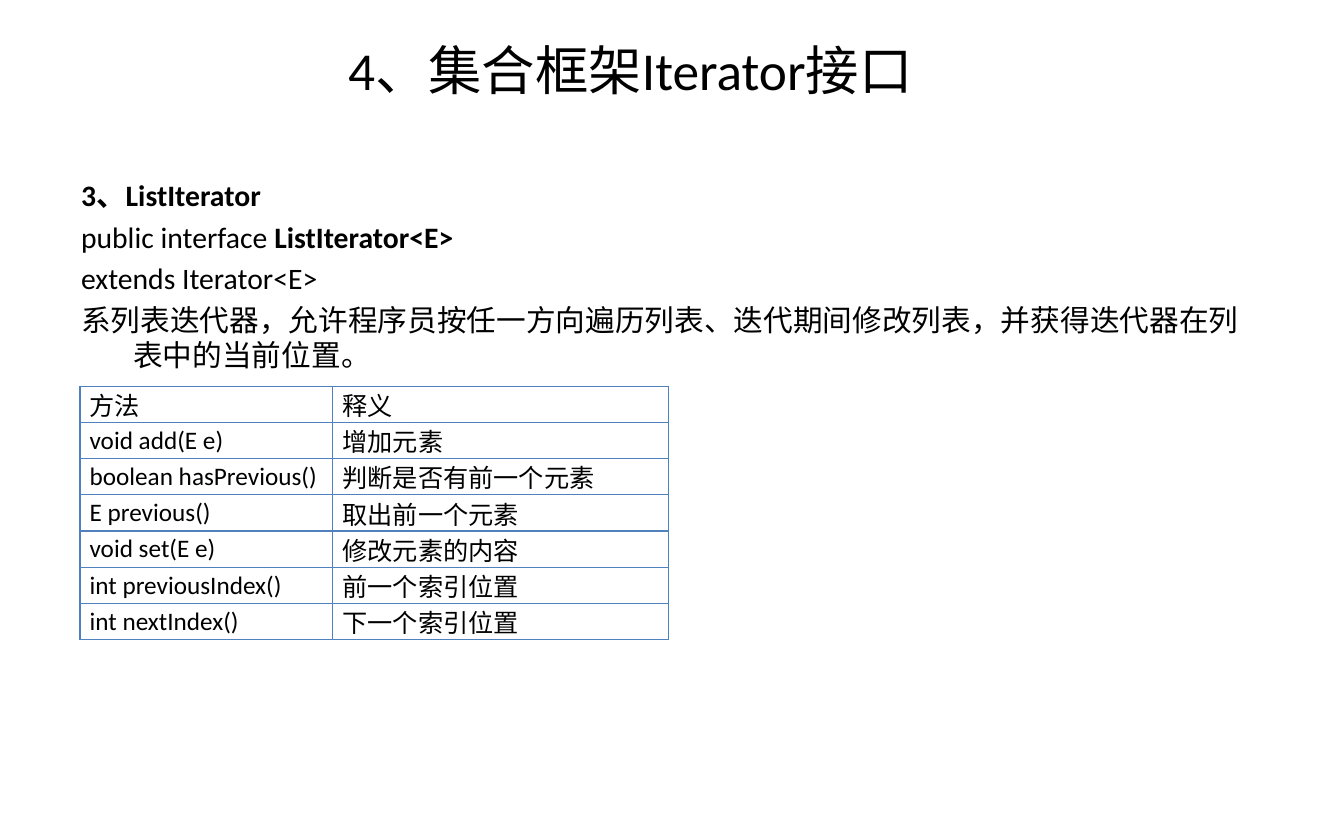
from dataclasses import dataclass

from lxml import etree
from pptx import Presentation
from pptx.dml.color import RGBColor
from pptx.enum import text
from pptx.oxml import ns
from pptx.util import Inches, Pt

TITLE = "4、集合框架Iterator接口"

# Each paragraph is a list of (text, bold) runs.
BODY = [
    [("3、ListIterator", True)],
    [("public interface ", False), ("ListIterator<E>", True)],
    [("extends Iterator<E>", False)],
    [("系列表迭代器，允许程序员按任一方向遍历列表、迭代期间修改列表，"
      "并获得迭代器在列表中的当前位置。", False)],
]

METHODS = [
    ("方法", "释义"),
    ("void add(E e)", "增加元素"),
    ("boolean hasPrevious()", "判断是否有前一个元素"),
    ("E previous()", "取出前一个元素"),
    ("void set(E e)", "修改元素的内容"),
    ("int previousIndex()", "前一个索引位置"),
    ("int nextIndex()", "下一个索引位置"),
]
COLUMN_WIDTHS = (2.37, 3.15)
ROW_HEIGHT = 0.34


@dataclass(frozen=True)
class Theme:
    font: str = "Calibri"
    header_font: str = "Times New Roman"
    ink: RGBColor = RGBColor(0, 0, 0)
    border: str = "4F81BD"
    border_width: int = Pt(1)
    title_size: int = Pt(36)
    body_size: int = Pt(20)
    table_size: int = Pt(17)


THEME = Theme()


def style(paragraph, size, name=THEME.font):
    font = paragraph.font
    font.size, font.name = size, name
    font.color.rgb = THEME.ink


def add_text_frame(slide, left, top, width, height):
    box = slide.shapes.add_textbox(*map(Inches, (left, top, width, height)))
    frame = box.text_frame
    frame.word_wrap = True
    frame.margin_left = frame.margin_right = Inches(0.13)
    frame.margin_top = frame.margin_bottom = Inches(0.07)
    return frame


def add_title(slide):
    frame = add_text_frame(slide, 1.58, 0.32, 8.66, 0.66)
    frame.vertical_anchor = text.MSO_ANCHOR.MIDDLE
    paragraph = frame.paragraphs[0]
    paragraph.text = TITLE
    paragraph.alignment = text.PP_ALIGN.CENTER
    style(paragraph, THEME.title_size)


def add_body(slide):
    frame = add_text_frame(slide, 0.63, 1.59, 11.34, 5.31)
    for index, runs in enumerate(BODY):
        paragraph = frame.add_paragraph() if index else frame.paragraphs[0]
        if index:
            paragraph.space_before = Pt(4)
        properties = paragraph._p.get_or_add_pPr()
        properties.set("marL", str(Inches(0.49)))
        properties.set("indent", str(-Inches(0.49)))
        style(paragraph, THEME.body_size)
        for content, bold in runs:
            run = paragraph.add_run()
            run.text = content
            run.font.bold = bold


def add_borders(cell):
    properties = cell._tc.get_or_add_tcPr()
    for side in ("a:lnL", "a:lnR", "a:lnT", "a:lnB"):
        line = etree.SubElement(properties, ns.qn(side), w=str(THEME.border_width))
        fill = etree.SubElement(line, ns.qn("a:solidFill"))
        etree.SubElement(fill, ns.qn("a:srgbClr"), val=THEME.border)


def add_methods_table(slide):
    size = (sum(COLUMN_WIDTHS), ROW_HEIGHT * len(METHODS))
    table = slide.shapes.add_table(
        len(METHODS), len(COLUMN_WIDTHS), *map(Inches, (0.75, 3.62, *size))
    ).table
    table.first_row = table.horz_banding = False
    for column, width in zip(table.columns, COLUMN_WIDTHS):
        column.width = Inches(width)
    for row_index, values in enumerate(METHODS):
        table.rows[row_index].height = Inches(ROW_HEIGHT)
        for column_index, value in enumerate(values):
            cell = table.cell(row_index, column_index)
            cell.margin_left = cell.margin_right = Inches(0.09)
            cell.margin_top = cell.margin_bottom = 0
            cell.vertical_anchor = text.MSO_ANCHOR.MIDDLE
            add_borders(cell)
            cell.fill.background()
            paragraph = cell.text_frame.paragraphs[0]
            paragraph.text = value
            if column_index:
                paragraph.alignment = text.PP_ALIGN.JUSTIFY
            style(paragraph, THEME.table_size,
                  THEME.font if row_index else THEME.header_font)


def main():
    presentation = Presentation()
    presentation.slide_width = Inches(12.6)
    presentation.slide_height = Pt(567)
    slide = presentation.slides.add_slide(presentation.slide_layouts[6])
    add_title(slide)
    add_body(slide)
    add_methods_table(slide)
    presentation.save("out.pptx")


if __name__ == "__main__":
    main()
